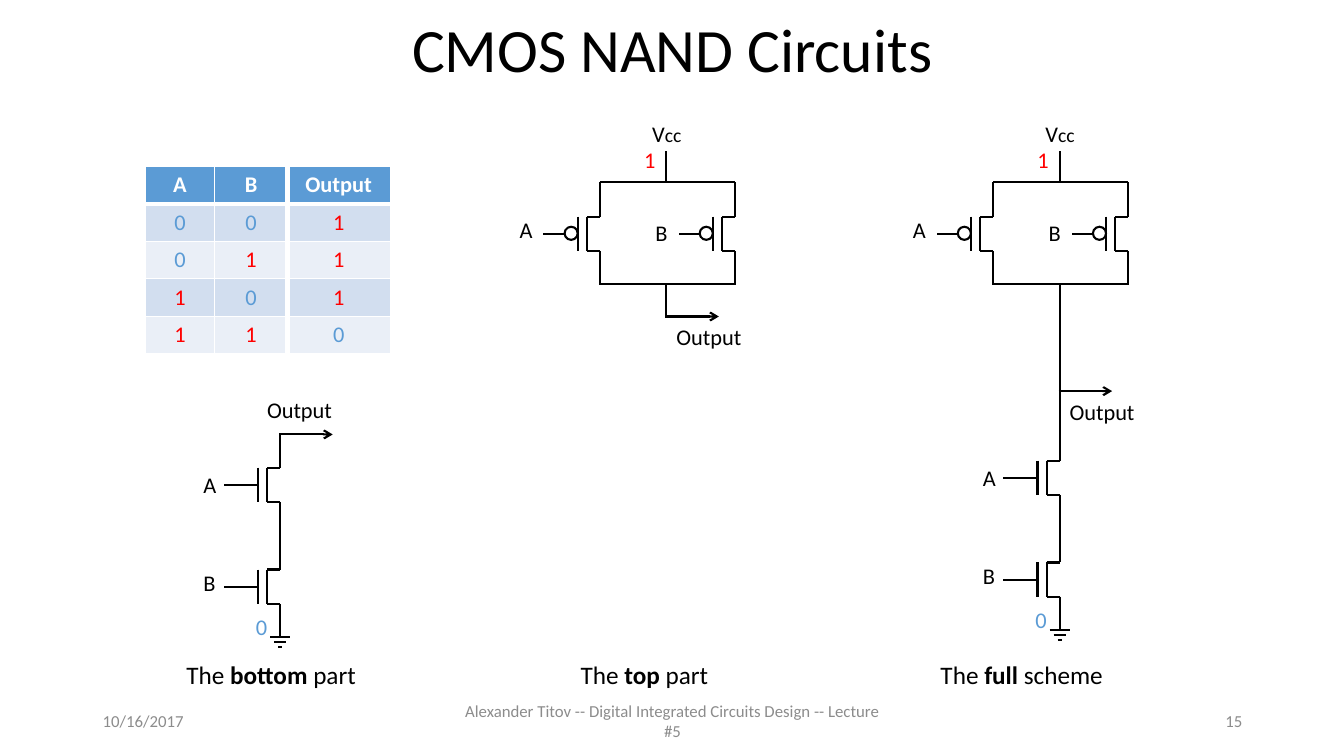
from dataclasses import dataclass

from lxml.etree import SubElement
from pptx import Presentation
from pptx.dml.color import RGBColor
from pptx.enum.shapes import MSO_CONNECTOR, MSO_SHAPE
from pptx.enum.text import MSO_ANCHOR, MSO_AUTO_SIZE, PP_ALIGN
from pptx.oxml.ns import qn
from pptx.util import Emu, Pt


@dataclass(frozen=True)
class Theme:
    """Colours, font and type sizes of the slide."""
    font: str = "Calibri"
    black: str = "000000"
    white: str = "FFFFFF"
    grey: str = "8C8C8C"
    low: str = "5B9BD5"
    high: str = "FF0000"
    header: str = "5B9BD5"
    bands: tuple = ("D2DEEF", "EAEFF7")
    title: int = 44
    caption: int = 18
    label: int = 16
    subscript: int = 14
    footer: int = 12
    wire: float = 1.5


THEME = Theme()
CHANNEL = 34
LEAD = 34
LABEL_HEIGHT = 37


def px(length):
    """Convert px, at 100 to the inch, to EMU."""
    return Emu(length * 9144)


def color(code):
    """Return the colour for a hex code."""
    return RGBColor.from_string(code)


def style(paragraph, size, code, align=PP_ALIGN.LEFT):
    """Set the font, colour and alignment of a paragraph."""
    paragraph.alignment = align
    paragraph.font.name = THEME.font
    paragraph.font.size = Pt(size)
    paragraph.font.color.rgb = color(code)


def add_label(shapes, box, text, size=THEME.label, code=THEME.black, align=PP_ALIGN.LEFT):
    """Add an unwrapped text box and return its text frame."""
    frame = shapes.add_textbox(*map(px, box)).text_frame
    frame.word_wrap = False
    frame.auto_size = MSO_AUTO_SIZE.SHAPE_TO_FIT_TEXT
    frame.text = text
    style(frame.paragraphs[0], size, code, align)
    return frame


def add_wire(shapes, left, top, right, bottom, arrow=False):
    """Draw a wire between two points, with an optional arrowhead."""
    wire = shapes.add_connector(MSO_CONNECTOR.STRAIGHT, *map(px, (left, top, right, bottom)))
    wire.line.color.rgb = color(THEME.black)
    wire.line.width = Pt(THEME.wire)
    if arrow:
        SubElement(wire.line._get_or_add_ln(), qn("a:tailEnd"), type="arrow")
    SubElement(wire._element.spPr, qn("a:effectLst"))


def add_transistor(shapes, rail, top, upper_lead=LEAD, bubble=False):
    """Draw a transistor whose channel starts at top, left of its rail."""
    bottom, middle = top + CHANNEL, top + CHANNEL // 2
    channel, gate = rail - 13, rail - 22
    add_wire(shapes, channel, top, channel, bottom)
    for end in (top, bottom):
        add_wire(shapes, channel, end, rail, end)
    add_wire(shapes, rail, top - upper_lead, rail, top)
    add_wire(shapes, rail, bottom, rail, bottom + LEAD)
    add_wire(shapes, gate, top, gate, bottom)
    add_wire(shapes, gate, middle, gate - 34, middle)
    if bubble:
        circle = shapes.add_shape(MSO_SHAPE.OVAL, *map(px, (gate - 13, top + 10, 13, 13)))
        circle.shadow.inherit = False
        circle.fill.solid()
        circle.fill.fore_color.rgb = color(THEME.white)
        circle.line.color.rgb = color(THEME.black)
        circle.line.width = Pt(THEME.wire)


def add_output(shapes, left, top, label_left, label_top):
    """Draw the output arrow and its label."""
    add_wire(shapes, left - 1, top, left + 52, top, arrow=True)
    add_label(shapes, (label_left, label_top, 85, LABEL_HEIGHT), "Output")


def add_pull_up(shapes, left, top, output_top):
    """Draw the parallel transistors, from the supply down to the output."""
    right, center = left + 134, left + 66
    upper, lower = top + 67, top + 168
    for rail, name, drop in ((left, "A", 96), (right, "B", 98)):
        add_transistor(shapes, rail, upper + LEAD, bubble=True)
        add_label(shapes, (rail - 91, top + drop, 34, LABEL_HEIGHT), name, align=PP_ALIGN.RIGHT)
    for level in (upper, lower):
        add_wire(shapes, left, level, right, level)
    supply = add_label(shapes, (center - 24, top, 49, LABEL_HEIGHT), "V")
    subscript = supply.paragraphs[0].add_run()
    subscript.text = "cc"
    subscript.font.size = Pt(THEME.subscript)
    add_label(shapes, (center - 32, top + 26, 32, LABEL_HEIGHT), "1", code=THEME.high)
    add_wire(shapes, center, top + 36, center, upper)
    add_wire(shapes, center, lower, center, output_top)
    add_output(shapes, center, output_top, center, output_top + 2)


def add_pull_down(shapes, rail, top, upper_lead=LEAD):
    """Draw the series transistors down to the ground."""
    add_transistor(shapes, rail, top, upper_lead)
    add_transistor(shapes, rail, top + 101)
    for name, drop in (("A", -1), ("B", 96)):
        add_label(shapes, (rail - 86, top + drop, 34, LABEL_HEIGHT), name)
    for step, half in enumerate((10, 6, 2)):
        level = top + 168 + 5 * step
        add_wire(shapes, rail - half, level, rail + half, level)
    add_label(shapes, (rail - 34, top + 139, 32, LABEL_HEIGHT), "0", code=THEME.low)


def add_border(cell, side, width):
    """Draw one white cell border."""
    line = SubElement(cell._tc.get_or_add_tcPr(), qn(f"a:ln{side}"), w=str(Pt(width)))
    SubElement(SubElement(line, qn("a:solidFill")), qn("a:srgbClr"), val=THEME.white)


def add_truth_table(shapes, left, top):
    """Add the truth table of the gate."""
    rows = [("A", "B", "Output")]
    rows += [(str(a), str(b), str(1 - a * b)) for a in (0, 1) for b in (0, 1)]
    widths = (69, 72, 102)
    box = (left, top, sum(widths), 37 * len(rows))
    table = shapes.add_table(len(rows), len(widths), *map(px, box)).table
    for column, width in zip(table.columns, widths):
        column.width = px(width)
    for row_index, values in enumerate(rows):
        for column_index, value in enumerate(values):
            cell = table.cell(row_index, column_index)
            cell.text = value
            cell.vertical_anchor = MSO_ANCHOR.MIDDLE
            heading = row_index == 0
            paragraph = cell.text_frame.paragraphs[0]
            code = {"0": THEME.low, "1": THEME.high}.get(value, THEME.white)
            style(paragraph, THEME.label, code, PP_ALIGN.CENTER)
            paragraph.font.bold = heading
            add_border(cell, "L", 4.5 if column_index == 2 else 1)
            add_border(cell, "R", 4.5 if column_index == 1 else 1)
            add_border(cell, "T", 3 if row_index == 1 else 1)
            add_border(cell, "B", 3 if heading else 1)
            cell.fill.solid()
            fill = THEME.header if heading else THEME.bands[(row_index - 1) % 2]
            cell.fill.fore_color.rgb = color(fill)


def add_caption(shapes, left, width, emphasis, ending):
    """Add a caption with one bold word."""
    frame = add_label(shapes, (left, 649, width, 40), "The ", THEME.caption)
    for text, bold in ((emphasis + " ", True), (ending, False)):
        run = frame.paragraphs[0].add_run()
        run.text = text
        run.font.bold = bold


def add_title(slide, box, text):
    """Place and format the title placeholder."""
    title = slide.shapes.title
    title.left, title.top, title.width, title.height = map(px, box)
    frame = title.text_frame
    frame.text = text
    frame.auto_size = MSO_AUTO_SIZE.NONE
    frame.vertical_anchor = MSO_ANCHOR.MIDDLE
    style(frame.paragraphs[0], THEME.title, THEME.black, PP_ALIGN.CENTER)
    frame.paragraphs[0].line_spacing = 0.9


def add_footer(shapes, top):
    """Add the date, the lecture name and the page number."""
    for left, width, text, align in (
        (92, 300, "10/16/2017", PP_ALIGN.LEFT),
        (442, 450, "Alexander Titov -- Digital Integrated Circuits Design -- Lecture #5",
         PP_ALIGN.CENTER),
        (942, 300, "15", PP_ALIGN.RIGHT),
    ):
        frame = add_label(shapes, (left, top, width, 40), text, THEME.footer, THEME.grey, align)
        frame.word_wrap = True
        frame.auto_size = MSO_AUTO_SIZE.NONE
        frame.vertical_anchor = MSO_ANCHOR.MIDDLE


def main():
    """Build the slide and save it."""
    presentation = Presentation()
    presentation.slide_width, presentation.slide_height = px(1333), px(750)
    slide = presentation.slides.add_slide(presentation.slide_layouts[5])
    shapes = slide.shapes
    add_title(slide, (92, 0, 1150, 104), "CMOS NAND Circuits")
    add_footer(shapes, 695)
    add_truth_table(shapes, 144, 165)
    bottom_part = shapes.add_group_shape().shapes
    add_pull_down(bottom_part, 278, 464)
    add_output(bottom_part, 278, 431, 255, 388)
    add_pull_up(shapes.add_group_shape().shapes, 595, 114, 314)
    full_scheme = shapes.add_group_shape().shapes
    add_pull_up(full_scheme, 985, 114, 388)
    add_pull_down(full_scheme, 1051, 457, upper_lead=69)
    add_caption(shapes, 175, 191, "bottom", "part")
    add_caption(shapes, 566, 148, "top", "part")
    add_caption(shapes, 923, 183, "full", "scheme")
    presentation.save("out.pptx")


if __name__ == "__main__":
    main()
